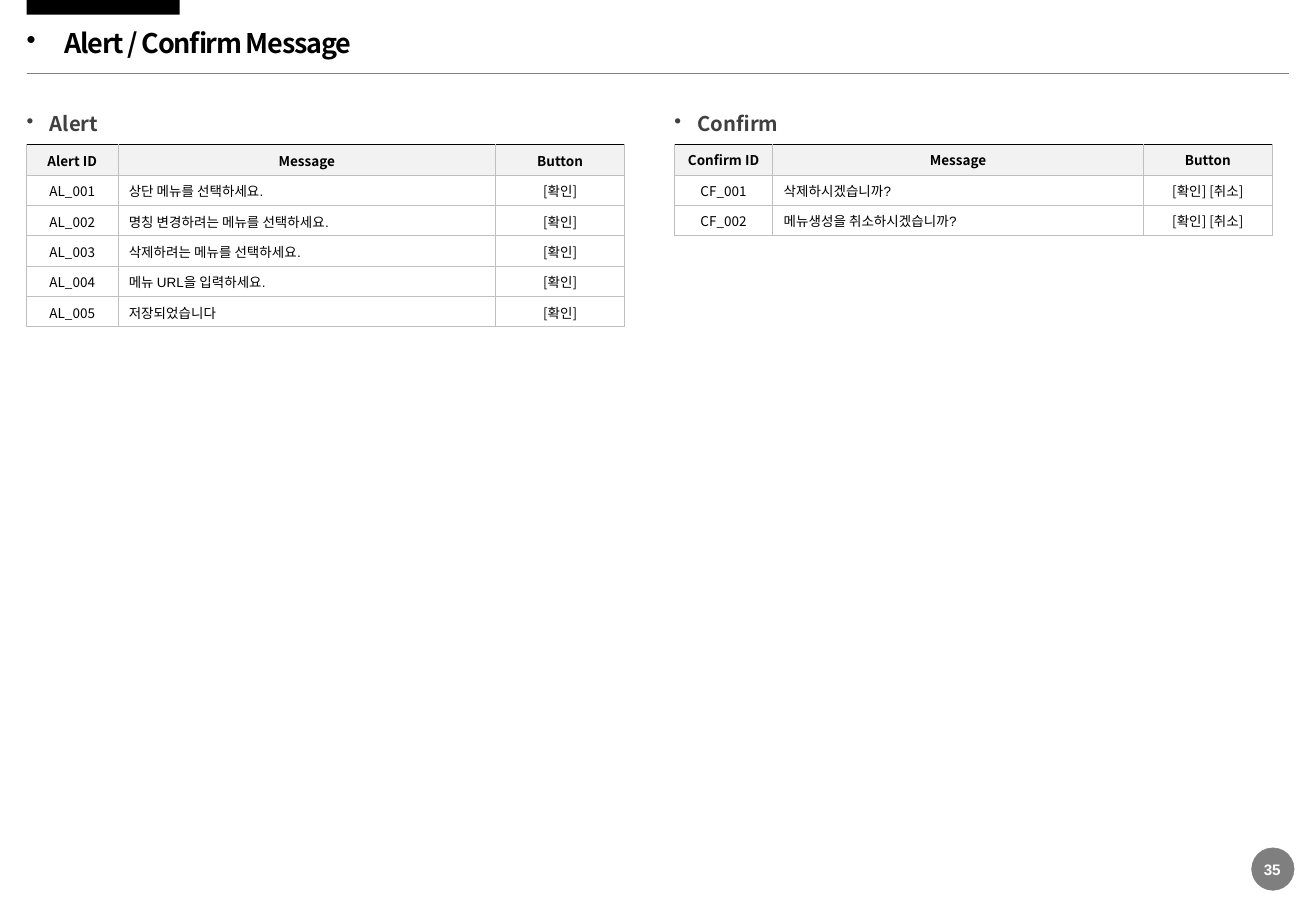
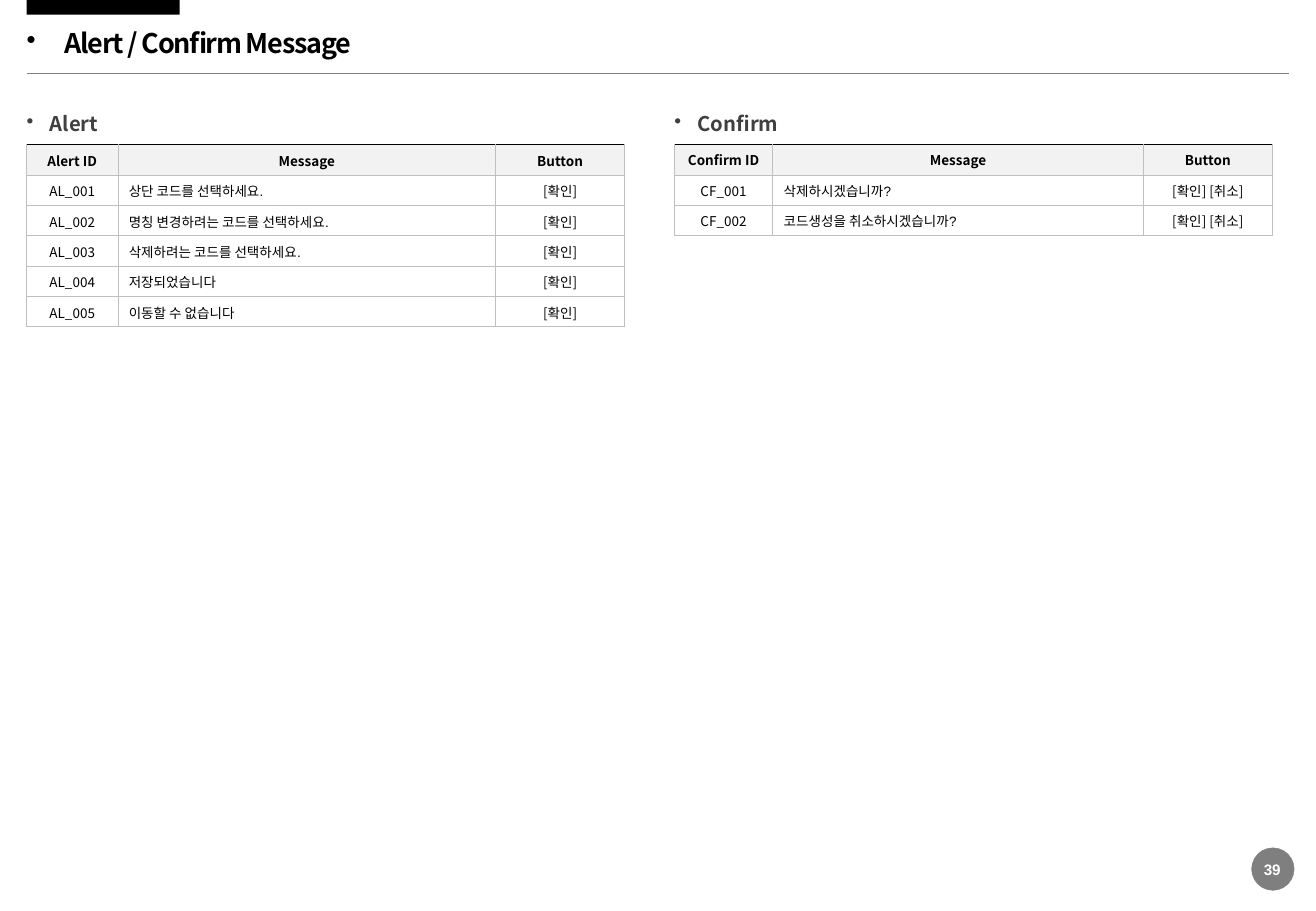
from lxml import etree
from pptx import Presentation
from pptx.dml.color import RGBColor
from pptx.enum.shapes import MSO_CONNECTOR, MSO_SHAPE
from pptx.enum.text import MSO_ANCHOR, PP_ALIGN
from pptx.oxml.ns import qn
from pptx.util import Inches, Pt

RECTANGLE, ELLIPSE = MSO_SHAPE.RECTANGLE, MSO_SHAPE.OVAL
STRAIGHT = MSO_CONNECTOR.STRAIGHT
LEFT, CENTER = PP_ALIGN.LEFT, PP_ALIGN.CENTER
TOP, MIDDLE = MSO_ANCHOR.TOP, MSO_ANCHOR.MIDDLE

COLORS = {
    "black": "000000",
    "white": "FFFFFF",
    "heading": "404040",
    "rule": "808080",
    "border": "BFBFBF",
    "header": "F2F2F2",
}
KOREAN_FONT, LATIN_FONT = "Noto Sans CJK KR", "Arial"
MARGIN = 0.22
CONFIRM_LEFT = 5.55
SECTION_TOP = 0.92
ROW_HEIGHT = 0.25
BUTTON_WIDTH = 1.06

OK = "[확인]"
OK_CANCEL = "[확인] [취소]"
PAGES = [
    {
        "number": "35",
        "alerts": [
            "상단 메뉴를 선택하세요.",
            "명칭 변경하려는 메뉴를 선택하세요.",
            "삭제하려는 메뉴를 선택하세요.",
            "메뉴 URL을 입력하세요.",
            "저장되었습니다",
        ],
        "confirms": ["삭제하시겠습니까?", "메뉴생성을 취소하시겠습니까?"],
    },
    {
        "number": "39",
        "alerts": [
            "상단 코드를 선택하세요.",
            "명칭 변경하려는 코드를 선택하세요.",
            "삭제하려는 코드를 선택하세요.",
            "저장되었습니다",
            "이동할 수 없습니다",
        ],
        "confirms": ["삭제하시겠습니까?", "코드생성을 취소하시겠습니까?"],
    },
]


def rgb(name):
    """Return the named colour."""
    return RGBColor.from_string(COLORS[name])


def write_text(frame, text, size=8, font=KOREAN_FONT, color="black", bold=False,
               align=LEFT, indent=0, spacing=None):
    """Write one formatted paragraph, bulleted when it has an indent."""
    paragraph = frame.paragraphs[0]
    paragraph.alignment = align
    if indent:
        properties = paragraph._p.get_or_add_pPr()
        properties.set("marL", str(Inches(indent)))
        properties.set("indent", str(-Inches(indent)))
        etree.SubElement(properties, qn("a:buChar"), char="•")
    run = paragraph.add_run()
    run.text = text
    run.font.size = Pt(size)
    run.font.bold = bold
    run.font.name = font
    run.font.color.rgb = rgb(color)
    properties = run._r.get_or_add_rPr()
    etree.SubElement(properties, qn("a:ea"), typeface=KOREAN_FONT)
    if spacing:
        properties.set("spc", str(round(spacing * 100)))
    return paragraph


def add_text(slide, box, text, anchor=TOP, wrap=True, **style):
    """Add a text box without insets."""
    frame = slide.shapes.add_textbox(*map(Inches, box)).text_frame
    frame.margin_left = frame.margin_right = 0
    frame.margin_top = frame.margin_bottom = 0
    frame.vertical_anchor = anchor
    frame.word_wrap = wrap
    return write_text(frame, text, **style)


def add_filled_shape(slide, kind, box):
    """Add a black shape without outline or shadow."""
    shape = slide.shapes.add_shape(kind, *map(Inches, box))
    shape.shadow.inherit = False
    shape.fill.solid()
    shape.fill.fore_color.rgb = rgb("black")
    shape.line.fill.background()
    return shape


def add_page_frame(slide, title):
    """Add the tab, the rule and the title."""
    add_filled_shape(slide, RECTANGLE, (MARGIN, 0, 1.26, 0.12))
    rule = slide.shapes.add_connector(
        STRAIGHT, *map(Inches, (MARGIN, 0.6, 10.61, 0.6)))
    rule.line.color.rgb = rgb("rule")
    rule.line.width = Pt(0.25)
    etree.SubElement(rule._element.spPr, qn("a:effectLst"))
    paragraph = add_text(slide, (MARGIN, 0.21, 6.5, 0.31), title, anchor=MIDDLE,
                         size=16, bold=True, indent=0.31, spacing=-0.7)
    paragraph.line_spacing = 0.9
    paragraph.space_before = Pt(8.1)


def add_page_number(slide, left, top, number):
    """Add the half-transparent disc with the page number."""
    disc = add_filled_shape(slide, ELLIPSE, (left, top, 0.35, 0.35))
    color = disc._element.spPr.find(qn("a:solidFill"))[0]
    etree.SubElement(color, qn("a:alpha"), val="50000")
    disc.line.color.rgb = rgb("rule")
    disc.line.width = Pt(0.25)
    add_text(slide, (left + 0.09, top + 0.1, 0.16, 0.15), number, anchor=MIDDLE,
             wrap=False, size=9, font=LATIN_FONT, color="white", bold=True,
             align=CENTER)


def add_borders(cell, is_header):
    """Draw the four cell borders, with a black top on the header."""
    properties = cell._tc.get_or_add_tcPr()
    for side in "LRTB":
        strong = is_header and side == "T"
        line = etree.SubElement(properties, qn(f"a:ln{side}"),
                                w=str(Pt(1 if strong else 0.5)))
        fill = etree.SubElement(line, qn("a:solidFill"))
        etree.SubElement(fill, qn("a:srgbClr"),
                         val=COLORS["black" if strong else "border"])


def format_cell(cell, text, is_header, is_message, inset):
    """Fill one table cell with its text and format."""
    add_borders(cell, is_header)
    if is_header:
        cell.fill.solid()
        cell.fill.fore_color.rgb = rgb("header")
    else:
        cell.fill.background()
    cell.vertical_anchor = MIDDLE
    cell.margin_left = cell.margin_right = Inches(0.09)
    cell.margin_top = cell.margin_bottom = Inches(inset)
    body_message = is_message and not is_header
    write_text(cell.text_frame, text, bold=is_header,
               font=LATIN_FONT if body_message else KOREAN_FONT,
               align=LEFT if body_message else CENTER)


def add_message_section(slide, left, top, name, prefix, messages, button,
                        widths, inset):
    """Add a bulleted heading and its message table."""
    add_text(slide, (left, top, 0.91, 0.2), name, size=12, color="heading",
             bold=True, indent=0.19)
    rows = [(f"{name} ID", "Message", "Button")]
    rows += [(f"{prefix}_{index:03}", message, button)
             for index, message in enumerate(messages, 1)]
    box = (left, top + 0.27, sum(widths), ROW_HEIGHT * len(rows))
    table = slide.shapes.add_table(len(rows), len(widths), *map(Inches, box)).table
    table.first_row = table.horz_banding = False
    for column, width in zip(table.columns, widths):
        column.width = Inches(width)
    for row_index, row in enumerate(rows):
        table.rows[row_index].height = Inches(ROW_HEIGHT)
        for column_index, text in enumerate(row):
            format_cell(table.cell(row_index, column_index), text,
                        row_index == 0, column_index == 1, inset)


def add_message_slide(presentation, page):
    """Add one slide of alert and confirm messages."""
    slide = presentation.slides.add_slide(presentation.slide_layouts[6])
    add_page_frame(slide, "Alert / Confirm Message")
    add_page_number(slide, 10.3, 6.98, page["number"])
    add_message_section(slide, MARGIN, SECTION_TOP, "Alert", "AL", page["alerts"],
                        OK, (0.75, 3.11, BUTTON_WIDTH), 0.05)
    add_message_section(slide, CONFIRM_LEFT, SECTION_TOP, "Confirm", "CF",
                        page["confirms"], OK_CANCEL, (0.81, 3.05, BUTTON_WIDTH), 0.04)


def main():
    """Build and save the presentation."""
    presentation = Presentation()
    presentation.slide_width = Inches(10.83)
    presentation.slide_height = Inches(7.5)
    for page in PAGES:
        add_message_slide(presentation, page)
    presentation.save("out.pptx")


if __name__ == "__main__":
    main()
